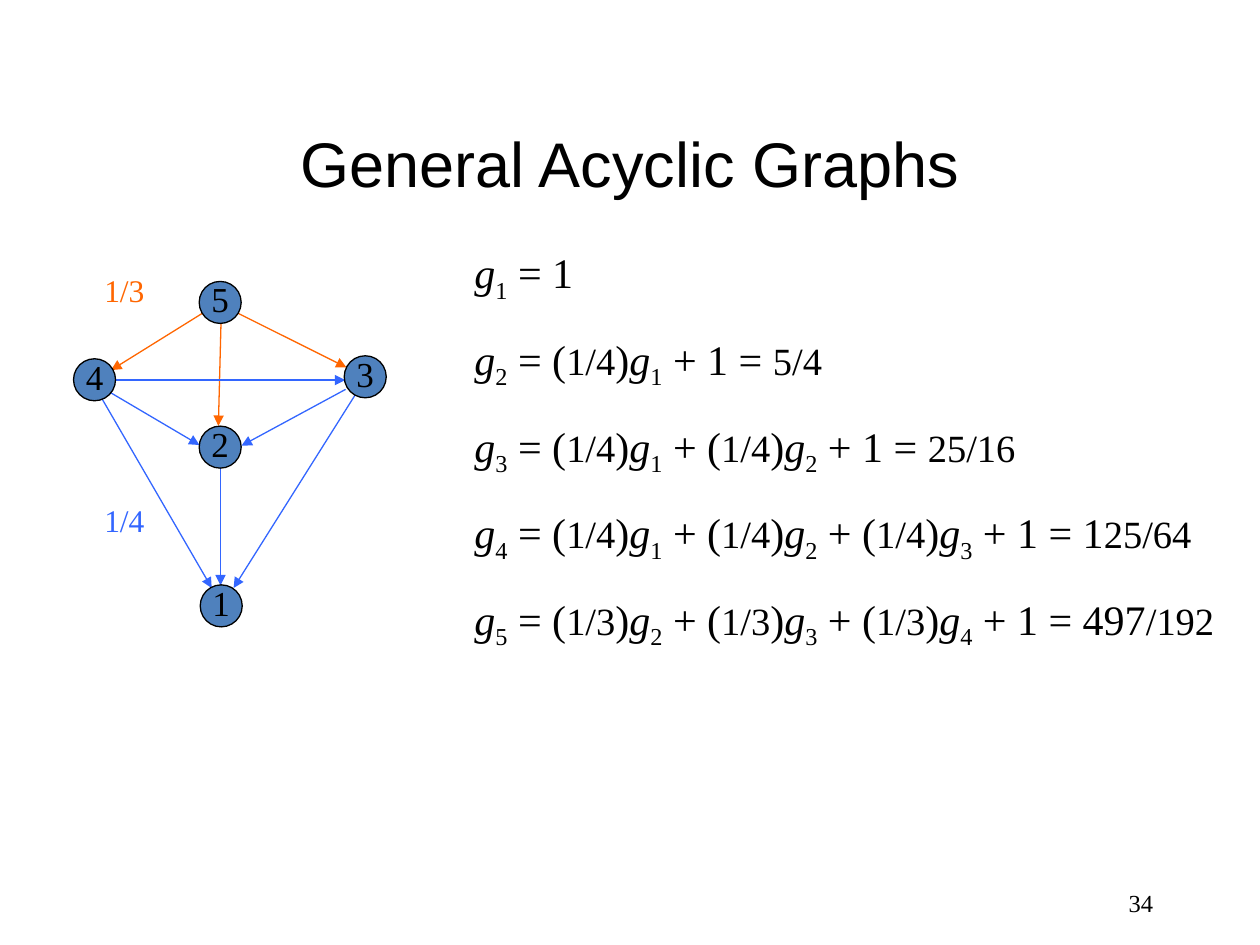
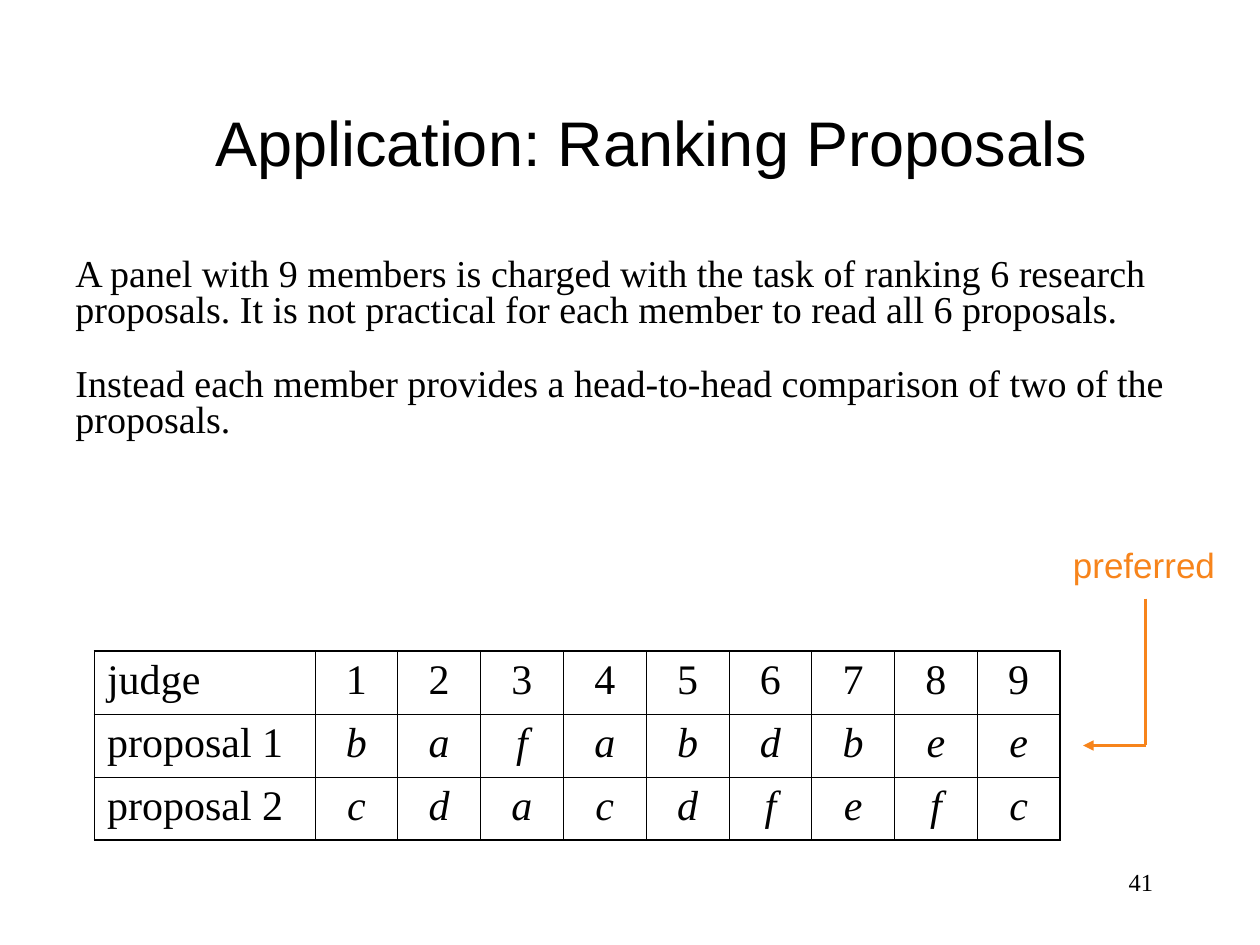
from lxml import etree
from pptx import Presentation
from pptx import util as u
from pptx.dml.color import RGBColor
from pptx.enum import shapes, text
from pptx.oxml import ns

SERIF, SANS = "Times New Roman", "Arial"
BLACK, NODE_BLUE, EDGE_BLUE, EDGE_ORANGE, ACCENT = "000000", "4F81BD", "3366FF", "FF6600", "F7841B"
CENTER, LEFT, RIGHT = text.PP_ALIGN.CENTER, text.PP_ALIGN.LEFT, text.PP_ALIGN.RIGHT

NODE_SIZE = 24
NODES = {"2": (113.8, 243.5), "4": (42, 205), "3": (196.7, 203.3), "1": (114.4, 334.2), "5": (113.8, 160.8)}
EDGES = {
    EDGE_ORANGE: [
        (126.5, 177, 124.8, 243.4),
        (126, 174, 198, 210),
        (126.5, 172.3, 63.5, 211.5),
    ],
    EDGE_BLUE: [
        (197.5, 222.5, 138, 254.7),
        (126, 256.5, 126, 334.5),
        (54, 220.5, 121, 336),
        (59, 217.2, 197.3, 217.2),
        (51, 217.2, 114, 254.3),
        (210, 214.5, 133.5, 336),
    ],
}
EDGE_LABELS = [("1/3", 151.3, EDGE_ORANGE), ("1/4", 282.5, EDGE_BLUE)]

EQUATIONS = [
    ("1", "", "", "", ""),
    ("2", "1/4", "1", "", "5/4"),
    ("3", "1/4", "12", "", "25/16"),
    ("4", "1/4", "123", "1", "25/64"),
    ("5", "1/3", "234", "497", "/192"),
]
EQUATION_TOP, EQUATION_STEP = 137.5, 49.5

PROPOSAL_TEXT = [
    "A panel with 9 members is charged with the task of ranking 6 research proposals. "
    "It is not practical for each member to read all 6 proposals.",
    "Instead each member provides a head-to-head comparison of two of the proposals.",
]
RANKINGS = [("judge", "123456789"), ("proposal 1", "bafabdbee"), ("proposal 2", "cdacdfefc")]
HEADER_WIDTH, JUDGE_WIDTH, ROW_HEIGHT = 126, 47.33, 36
OUTER_LINE, INNER_LINE = 1.08, 0.45


def color(value):
    return RGBColor.from_string(value)


def add_run(paragraph, words, size, font=SERIF, fill=BLACK, italic=False, subscript=False):
    run = paragraph.add_run()
    run.text = words
    run.font.size = u.Pt(size)
    run.font.name = font
    run.font.italic = italic
    run.font.color.rgb = color(fill)
    if subscript:
        run._r.get_or_add_rPr().set("baseline", "-25000")


def add_box(slide, left, top, width, height, align=LEFT, wrap=True):
    shape = slide.shapes.add_textbox(*map(u.Pt, (left, top, width, height)))
    frame = shape.text_frame
    frame.word_wrap = wrap
    frame.paragraphs[0].alignment = align
    return frame


def add_line(slide, points, fill, width, arrow=True):
    line = slide.shapes.add_connector(shapes.MSO_CONNECTOR.STRAIGHT, *map(u.Pt, points))
    line.line.color.rgb = color(fill)
    line.line.width = u.Pt(width)
    if arrow:
        etree.SubElement(line.line._get_or_add_ln(), ns.qn("a:tailEnd"), type="triangle")
    etree.SubElement(line._element.spPr, ns.qn("a:effectLst"))


def add_slide(presentation, title, title_left, title_top, number, number_top):
    slide = presentation.slides.add_slide(presentation.slide_layouts[6])
    frame = add_box(slide, title_left, title_top, 624, 90, CENTER)
    frame.vertical_anchor = text.MSO_ANCHOR.MIDDLE
    add_run(frame.paragraphs[0], title, 36, SANS)
    frame = add_box(slide, 516, number_top, 150, 36, RIGHT)
    add_run(frame.paragraphs[0], number, 14)
    return slide


def add_node(slide, label, left, top):
    shape = slide.shapes.add_shape(
        shapes.MSO_SHAPE.OVAL, *map(u.Pt, (left, top, NODE_SIZE, NODE_SIZE)))
    shape.shadow.inherit = False
    shape.fill.solid()
    shape.fill.fore_color.rgb = color(NODE_BLUE)
    shape.line.color.rgb = color(BLACK)
    shape.line.width = u.Pt(0.75)
    frame = shape.text_frame
    frame.word_wrap = False
    frame.margin_left = frame.margin_right = frame.margin_top = 0
    frame.margin_bottom = u.Pt(4)
    frame.vertical_anchor = text.MSO_ANCHOR.MIDDLE
    frame.paragraphs[0].alignment = CENTER
    add_run(frame.paragraphs[0], label, 20)


def add_variable(paragraph, index):
    add_run(paragraph, "g", 24, italic=True)
    add_run(paragraph, index, 24, subscript=True)


def add_equation(slide, top, index, weight, predecessors, result_start, result_end):
    paragraph = add_box(slide, 264, top, 456, 40).paragraphs[0]
    add_variable(paragraph, index)
    if not predecessors:
        add_run(paragraph, " = 1", 24)
        return
    for position, predecessor in enumerate(predecessors):
        add_run(paragraph, " + (" if position else " = (", 24)
        add_run(paragraph, weight, 22)
        add_run(paragraph, ")", 24)
        add_variable(paragraph, predecessor)
    add_run(paragraph, " + 1 = " + result_start, 24)
    add_run(paragraph, result_end, 22)


def set_borders(cell, widths):
    properties = cell._tc.get_or_add_tcPr()
    for position, (side, width) in enumerate(widths.items()):
        border = etree.Element(ns.qn("a:ln" + side), w=str(u.Pt(width)))
        fill = etree.SubElement(border, ns.qn("a:solidFill"))
        etree.SubElement(fill, ns.qn("a:srgbClr"), val=BLACK)
        properties.insert(position, border)


def add_rankings(slide):
    rows, columns = len(RANKINGS), len(RANKINGS[0][1]) + 1
    widths = [HEADER_WIDTH] + [JUDGE_WIDTH] * (columns - 1)
    table = slide.shapes.add_table(
        rows, columns, *map(u.Pt, (54, 372, sum(widths), rows * ROW_HEIGHT))).table
    table.first_row = table.horz_banding = False
    for column, width in zip(table.columns, widths):
        column.width = u.Pt(width)
    for row, (header, values) in enumerate(RANKINGS):
        table.rows[row].height = u.Pt(ROW_HEIGHT)
        for column, words in enumerate([header, *values]):
            cell = table.cell(row, column)
            cell.fill.background()
            paragraph = cell.text_frame.paragraphs[0]
            paragraph.alignment = CENTER if column else LEFT
            add_run(paragraph, words, 24, italic=row > 0 and column > 0)
            outer = {"L": column == 0, "R": column == columns - 1, "T": row == 0, "B": row == rows - 1}
            set_borders(cell, {side: OUTER_LINE if edge else INNER_LINE for side, edge in outer.items()})


def build_graph_slide(presentation):
    slide = add_slide(presentation, "General Acyclic Graphs", 48, 48, "34", 504)
    for fill, edges in EDGES.items():
        for points in edges:
            add_line(slide, points, fill, 0.75)
    for label, position in NODES.items():
        add_node(slide, label, *position)
    for label, top, fill in EDGE_LABELS:
        frame = add_box(slide, 52.5, top, 37.5, 29, wrap=False)
        add_run(frame.paragraphs[0], label, 18, fill=fill)
    for position, equation in enumerate(EQUATIONS):
        add_equation(slide, EQUATION_TOP + position * EQUATION_STEP, *equation)


def build_ranking_slide(presentation):
    slide = add_slide(presentation, "Application: Ranking Proposals", 60, 36, "41", 492)
    frame = add_box(slide, 36, 144, 673, 168)
    for position, words in enumerate(PROPOSAL_TEXT):
        paragraph = frame.add_paragraph() if position else frame.paragraphs[0]
        paragraph.line_spacing = 0.8
        paragraph.space_before = u.Pt(21 if position else 0)
        add_run(paragraph, words, 21.7)
    add_rankings(slide)
    frame = add_box(slide, 606, 307, 96, 32, wrap=False)
    add_run(frame.paragraphs[0], "preferred", 20, SANS, ACCENT)
    add_line(slide, (655, 426, 619, 426), ACCENT, 1.5)
    add_line(slide, (654.5, 342, 654.5, 426), ACCENT, 1.5, arrow=False)


def main():
    presentation = Presentation()
    presentation.slide_width, presentation.slide_height = u.Pt(720), u.Pt(540)
    build_graph_slide(presentation)
    build_ranking_slide(presentation)
    presentation.save("out.pptx")


if __name__ == "__main__":
    main()
